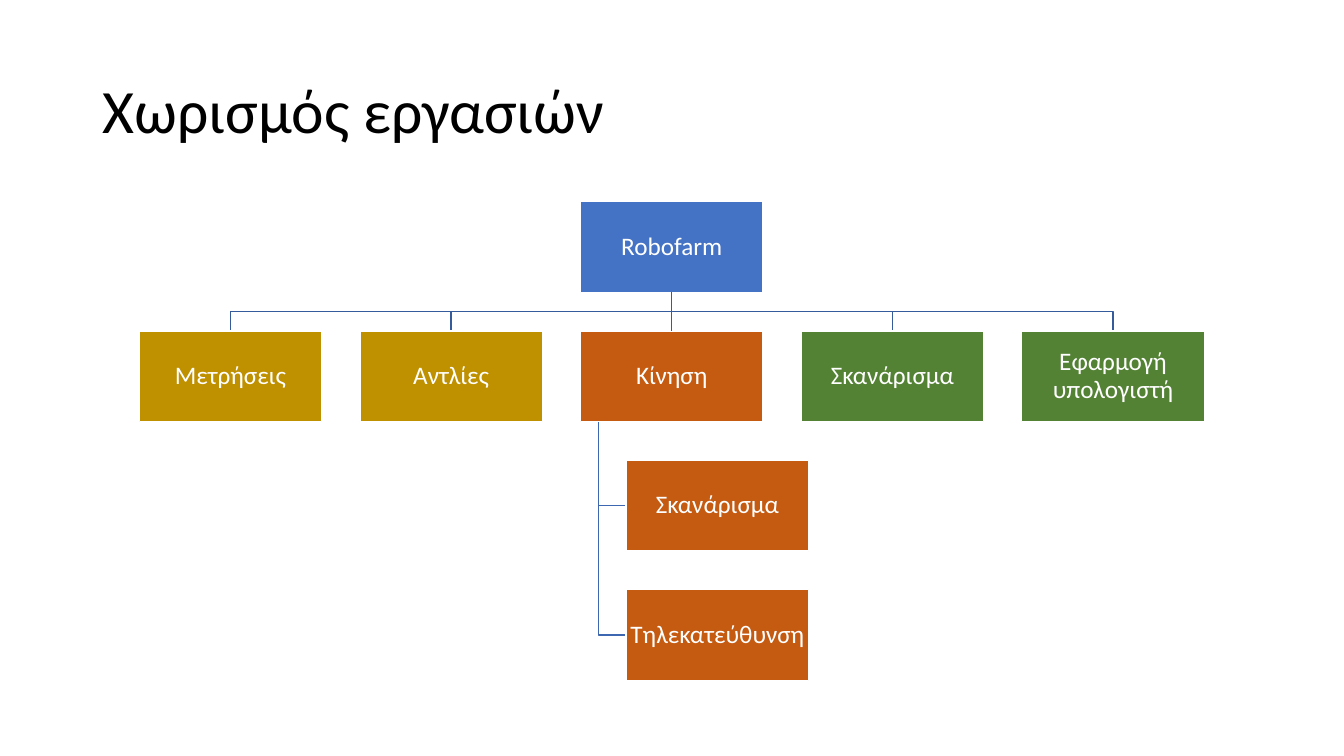
from pptx import Presentation
from pptx.dml.color import RGBColor
from pptx.enum.shapes import MSO_CONNECTOR as CONNECTOR, MSO_SHAPE as SHAPE
from pptx.enum.text import MSO_ANCHOR as ANCHOR, PP_ALIGN as ALIGN
from pptx.oxml.ns import qn
from pptx.util import Cm, Pt

COLORS = {
    "title": "000000", "label": "FFFFFF", "outline": "FFFFFF",
    "project": "4472C4", "hardware": "BF9000", "motion": "C55A11", "software": "548235",
    "team line": "365B9D", "subtask line": "3E67B2",
}
BOX_WIDTH, BOX_HEIGHT = 4.6, 2.29
CENTER, TOP = 16.93, 5.08
COLUMN_STEP, ROW_STEP = 5.56, 3.26
SUBTASK_INDENT, TRUNK_INDENT = 1.15, 0.46

TEAMS = [
    ("Μετρήσεις", "hardware"),
    ("Αντλίες", "hardware"),
    ("Κίνηση", "motion"),
    ("Σκανάρισμα", "software"),
    ("Εφαρμογή υπολογιστή", "software"),
]
SUBTASKS = ["Σκανάρισμα", "Τηλεκατεύθυνση"]

presentation = Presentation()
presentation.slide_width, presentation.slide_height = Cm(33.87), Cm(19.05)
slide = presentation.slides.add_slide(presentation.slide_layouts[5])


def write(shape, text, size, color, align):
    frame = shape.text_frame
    frame.text = text
    frame.word_wrap = True
    frame.vertical_anchor = ANCHOR.MIDDLE
    paragraph = frame.paragraphs[0]
    paragraph.alignment = align
    paragraph.line_spacing = 0.9
    font_format = {"name": "Calibri", "size": Pt(size)}
    for attribute, value in font_format.items():
        setattr(paragraph.font, attribute, value)
    paragraph.font.color.rgb = RGBColor.from_string(COLORS[color])


def add_box(text, color, left, row):
    """Add a labelled box in the given row of the chart."""
    box = slide.shapes.add_shape(
        SHAPE.RECTANGLE, Cm(left), Cm(TOP + row * ROW_STEP), Cm(BOX_WIDTH), Cm(BOX_HEIGHT))
    box.shadow.inherit = False
    box.fill.solid()
    box.fill.fore_color.rgb = RGBColor.from_string(COLORS[color])
    box.line.color.rgb = RGBColor.from_string(COLORS["outline"])
    box.line.width = Pt(1)
    for side in ("left", "top", "right", "bottom"):
        setattr(box.text_frame, f"margin_{side}", Cm(0.03))
    write(box, text, 18, "label", ALIGN.CENTER)
    return box


title = slide.shapes.title
title.left, title.top, title.width, title.height = Cm(2.33), Cm(1.01), Cm(29.21), Cm(3.68)
write(title, "Χωρισμός εργασιών", 44, "title", ALIGN.LEFT)

# Elbow lines from the project to its teams and from motion to its subtasks
root_bottom = TOP + BOX_HEIGHT
team_top = TOP + ROW_STEP
middle = (root_bottom + team_top) / 2
box_left = CENTER - BOX_WIDTH / 2
trunk = box_left + TRUNK_INDENT
elbows = []
for offset in (-2, -1, 1, 2):
    x = CENTER + offset * COLUMN_STEP
    elbows.append(("team line", [
        (CENTER, root_bottom), (CENTER, middle), (x, middle), (x, team_top)]))
for row in range(2, 2 + len(SUBTASKS)):
    y = TOP + row * ROW_STEP + BOX_HEIGHT / 2
    elbows.append(("subtask line", [
        (trunk, team_top + BOX_HEIGHT), (trunk, y), (box_left + SUBTASK_INDENT, y)]))

for color, points in elbows:
    start, *corners = [(Cm(x), Cm(y)) for x, y in points]
    builder = slide.shapes.build_freeform(*start)
    builder.add_line_segments(corners, close=False)
    elbow = builder.convert_to_shape()
    elbow.shadow.inherit = False
    elbow.fill.background()
    elbow.line.color.rgb = RGBColor.from_string(COLORS[color])
    elbow.line.width = Pt(1)

# Boxes
project = add_box("Robofarm", "project", box_left, 0)
teams = [add_box(text, color, box_left + (column - 2) * COLUMN_STEP, 1)
         for column, (text, color) in enumerate(TEAMS)]
for row, text in enumerate(SUBTASKS, start=2):
    add_box(text, "motion", box_left + SUBTASK_INDENT, row)

# Straight line from the project to the middle team
stem = slide.shapes.add_connector(
    CONNECTOR.STRAIGHT, Cm(CENTER), Cm(root_bottom), Cm(CENTER), Cm(team_top))
stem.begin_connect(project, 2)
stem.end_connect(teams[2], 0)
stem.line.color.rgb = RGBColor.from_string(COLORS["team line"])
stem.line.width = Pt(1)
stem_properties = stem._element.spPr
stem_properties.append(stem_properties.makeelement(qn("a:effectLst"), {}))

presentation.save("out.pptx")
